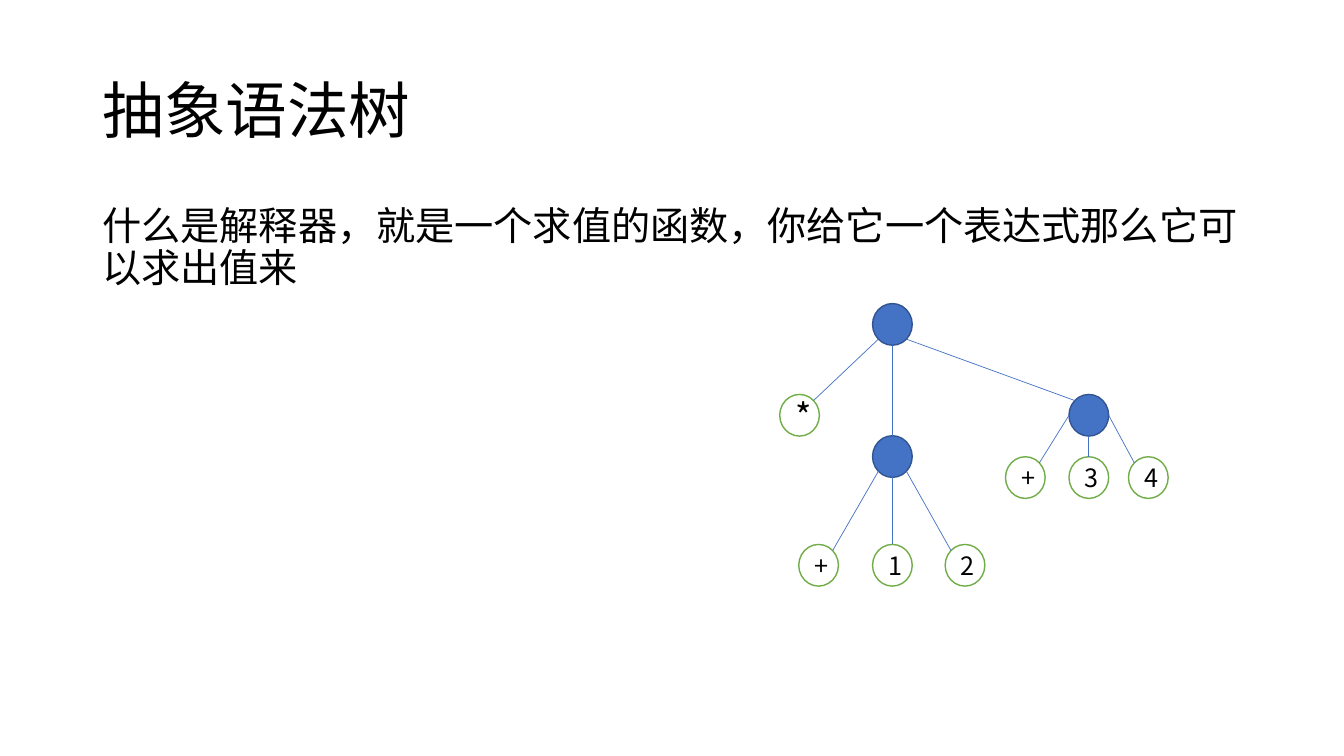
from dataclasses import dataclass
from math import hypot

from lxml.etree import SubElement
from pptx import Presentation
from pptx.dml.color import RGBColor
from pptx.enum.shapes import MSO_CONNECTOR as Connector, MSO_SHAPE as Shape
from pptx.enum.text import MSO_ANCHOR as Anchor, PP_ALIGN as Align
from pptx.oxml.ns import qn
from pptx.util import Cm, Pt

FONT = "Noto Sans CJK SC"
BLACK = RGBColor(0x00, 0x00, 0x00)
WHITE = RGBColor(0xFF, 0xFF, 0xFF)
BLUE = RGBColor(0x44, 0x72, 0xC4)
DARK_BLUE = RGBColor(0x32, 0x54, 0x91)
GREEN = RGBColor(0x70, 0xAD, 0x47)
NODE_WIDTH, NODE_HEIGHT = 1.0, 1.05


@dataclass
class Node:
    """A tree node: offset in cm from the tree's corner, label, children and edge start."""
    x: float
    y: float
    label: str = ""
    children: tuple = ()
    edges_from_side: bool = False


SUM_LEFT = Node(2.34, 3.33, children=(
    Node(0.48, 6.07, "+"), Node(2.34, 6.07, "1"), Node(4.17, 6.07, "2")))
SUM_RIGHT = Node(7.29, 2.29, edges_from_side=True, children=(
    Node(5.69, 3.86, "+"), Node(7.29, 3.86, "3"), Node(8.79, 3.86, "4")))
PRODUCT = Node(2.34, 0, children=(Node(0, 2.29, "*"), SUM_LEFT, SUM_RIGHT))


def write(text_frame, text, size, align):
    """Put one formatted paragraph into a text frame and return it."""
    text_frame.text = text
    paragraph = text_frame.paragraphs[0]
    paragraph.alignment = align
    run = paragraph.runs[0]
    run.font.size = Pt(size)
    run.font.name = FONT
    run.font.color.rgb = BLACK
    SubElement(run._r.get_or_add_rPr(), qn("a:ea")).set("typeface", FONT)
    return paragraph


def add_heading(slide, left, top, width, height):
    """Move and fill the title placeholder."""
    heading = slide.shapes.title
    heading.left, heading.top, heading.width, heading.height = (
        Cm(left), Cm(top), Cm(width), Cm(height))
    heading.text_frame.vertical_anchor = Anchor.MIDDLE
    write(heading.text_frame, "抽象语法树", 44, Align.LEFT).line_spacing = 0.9


def add_explanation(slide, left, top, width, height):
    """Write the explanation paragraph."""
    explanation = slide.shapes.add_textbox(Cm(left), Cm(top), Cm(width), Cm(height))
    explanation.text_frame.word_wrap = True
    paragraph = write(
        explanation.text_frame,
        "什么是解释器，就是一个求值的函数，你给它一个表达式那么它可以求出值来",
        28, Align.LEFT)
    paragraph.line_spacing = 0.9
    paragraph.space_before = Pt(10)


def add_node(slide, left, top, node):
    """Draw a node and everything below it."""
    circle = slide.shapes.add_shape(
        Shape.OVAL, Cm(left + node.x), Cm(top + node.y), Cm(NODE_WIDTH), Cm(NODE_HEIGHT))
    circle.shadow.inherit = False
    circle.fill.solid()
    circle.fill.fore_color.rgb = WHITE if node.label else BLUE
    circle.line.color.rgb = GREEN if node.label else DARK_BLUE
    circle.line.width = Pt(1)
    if node.label:
        circle.text_frame.vertical_anchor = Anchor.MIDDLE
        write(circle.text_frame, node.label, 25 if node.label == "*" else 18, Align.CENTER)
    for child in node.children:
        add_node(slide, left, top, child)


def rim_point(left, top, node, across, down):
    """Return the point on a node's rim in the given direction."""
    reach = hypot(across, down)
    return (Cm(left + node.x + NODE_WIDTH / 2 * (1 + across / reach)),
            Cm(top + node.y + NODE_HEIGHT / 2 * (1 + down / reach)))


def add_edges(slide, left, top, node):
    """Join a node to its children, level by level."""
    for child in node.children:
        across = (child.x > node.x) - (child.x < node.x)
        down = 0 if node.edges_from_side and across else 1
        edge = slide.shapes.add_connector(
            Connector.STRAIGHT,
            *rim_point(left, top, node, across, down),
            *rim_point(left, top, child, -across, -1))
        edge.line.color.rgb = BLUE
        edge.line.width = Pt(0.5)
        SubElement(edge._element.spPr, qn("a:effectLst"))
        add_edges(slide, left, top, child)


def add_syntax_tree(slide, left, top):
    """Draw the syntax tree with its corner at the given place."""
    add_node(slide, left, top, PRODUCT)
    add_edges(slide, left, top, PRODUCT)


def main():
    """Build and save the slide."""
    presentation = Presentation()
    presentation.slide_width, presentation.slide_height = Cm(33.87), Cm(19.05)
    slide = presentation.slides.add_slide(presentation.slide_layouts[5])
    add_heading(slide, 2.33, 1.01, 29.21, 3.68)
    add_explanation(slide, 2.33, 5.07, 29.21, 12.09)
    add_syntax_tree(slide, 19.65, 7.65)
    presentation.save("out.pptx")


if __name__ == "__main__":
    main()
